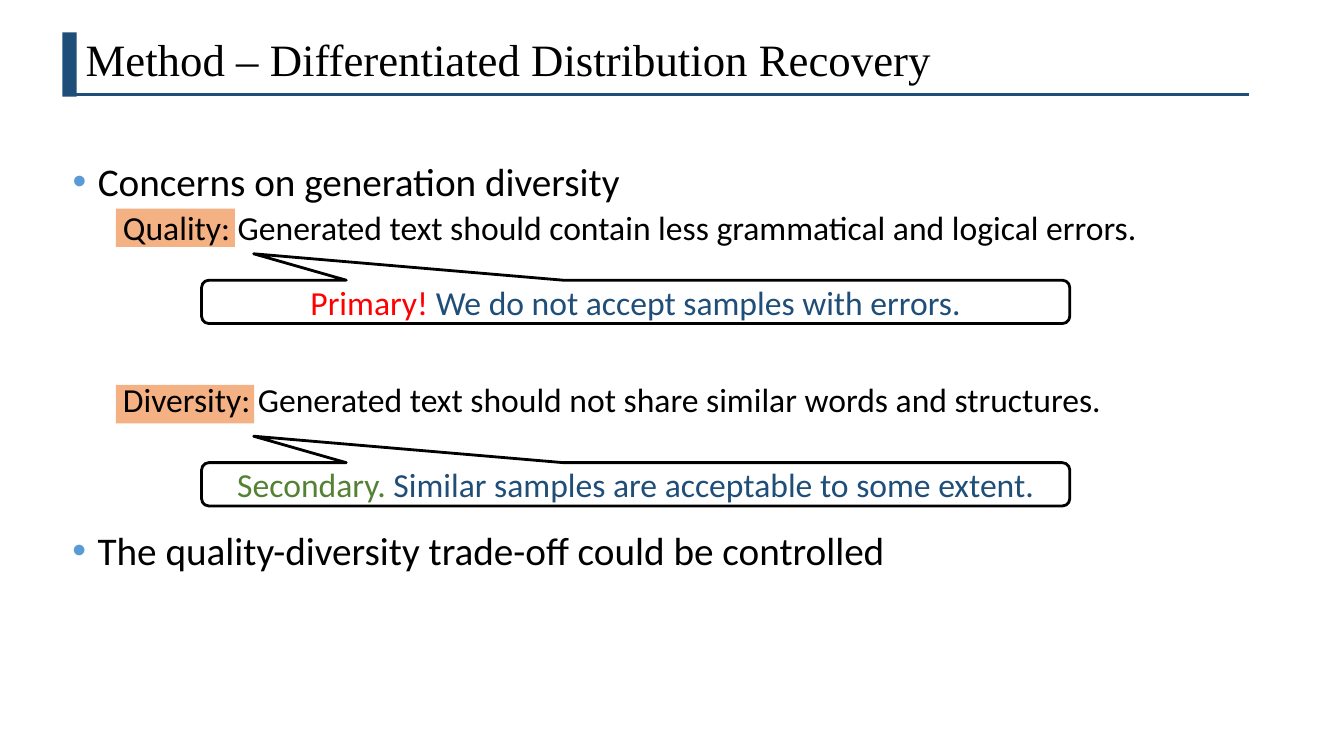
from dataclasses import dataclass

from lxml.etree import SubElement
from pptx import Presentation
from pptx.dml.color import RGBColor
from pptx.enum.shapes import MSO_CONNECTOR, MSO_SHAPE
from pptx.enum.text import MSO_ANCHOR, MSO_AUTO_SIZE, PP_ALIGN
from pptx.oxml.ns import qn
from pptx.util import Emu, Inches, Pt

NAVY = "1F4E79"
BLACK = "000000"
ORANGE = "F4B183"
BULLET_BLUE = "5B9BD5"
SLIDE_WIDTH = Inches(13.33)
SLIDE_HEIGHT = Inches(7.5)


@dataclass(frozen=True)
class Box:
    """Edges and sizes in percent of the slide's width and height."""

    left: float
    top: float
    width: float
    height: float

    def lengths(self) -> tuple[Emu, Emu, Emu, Emu]:
        return (
            across(self.left),
            down(self.top),
            across(self.width),
            down(self.height),
        )


@dataclass(frozen=True)
class Concern:
    label: str
    statement: str
    space_before: float
    highlight: Box
    verdict: str
    verdict_color: str
    remark: str
    callout: Box


TITLE_BOX = Box(5.62, 4.27, 87.3, 8.27)
BAR_BOX = Box(4.65, 4.27, 1.05, 8.53)
BODY_BOX = Box(4.65, 20.8, 88.3, 58.53)
CLOSING_BOX = Box(4.65, 69.6, 62.7, 7.07)

CONCERNS = [
    Concern(
        "Quality:",
        " Generated text should contain less grammatical and logical errors.",
        5,
        Box(8.63, 27.6, 8.85, 5.07),
        "Primary!",
        "FF0000",
        " We do not accept samples with errors.",
        Box(15, 37.07, 64.6, 5.73),
    ),
    Concern(
        "Diversity:",
        " Generated text should not share similar words and structures.",
        97,
        Box(8.63, 50.93, 10.28, 5.07),
        "Secondary.",
        "548235",
        " Similar samples are acceptable to some extent.",
        Box(15, 61.2, 64.6, 5.73),
    ),
]


def across(percent: float) -> Emu:
    return Emu(round(SLIDE_WIDTH * percent / 100))


def down(percent: float) -> Emu:
    return Emu(round(SLIDE_HEIGHT * percent / 100))


def color(value: str) -> RGBColor:
    return RGBColor.from_string(value)


def place(shape, box: Box) -> None:
    shape.left, shape.top, shape.width, shape.height = box.lengths()


def add_run(paragraph, text: str, size: float, value: str = BLACK, font: str = "Calibri") -> None:
    run = paragraph.add_run()
    run.text = text
    run.font.size = Pt(size)
    run.font.name = font
    run.font.color.rgb = color(value)


def format_paragraph(paragraph, space_before: float, margin: float = 0, indent: float = 0, bullet: bool = False) -> None:
    paragraph.alignment = PP_ALIGN.LEFT
    paragraph.line_spacing = 0.9
    paragraph.space_before = Pt(space_before)
    properties = paragraph._p.get_or_add_pPr()
    properties.set("marL", str(Inches(margin)))
    properties.set("indent", str(Inches(indent)))
    if bullet:
        bullet_color = SubElement(properties, qn("a:buClr"))
        SubElement(bullet_color, qn("a:srgbClr")).set("val", BULLET_BLUE)
        SubElement(properties, qn("a:buFont")).set("typeface", "Arial")
        SubElement(properties, qn("a:buChar")).set("char", "•")
    else:
        SubElement(properties, qn("a:buNone"))


def add_bullet(paragraph, text: str) -> None:
    format_paragraph(paragraph, 10, 0.25, -0.25, bullet=True)
    add_run(paragraph, text, 28)


def add_block(slide, box: Box, fill: str) -> None:
    shape = slide.shapes.add_shape(MSO_SHAPE.RECTANGLE, *box.lengths())
    shape.shadow.inherit = False
    shape.fill.solid()
    shape.fill.fore_color.rgb = color(fill)
    shape.line.fill.background()


def add_title_rule(slide) -> None:
    rule = slide.shapes.add_connector(
        MSO_CONNECTOR.STRAIGHT, across(5.62), down(12.53), across(92.95), down(12.53)
    )
    rule.line.color.rgb = color(NAVY)
    rule.line.width = Pt(2)
    SubElement(rule.element.spPr, qn("a:effectLst"))


def fill_title(slide) -> None:
    title = slide.shapes.title
    place(title, TITLE_BOX)
    frame = title.text_frame
    frame.auto_size = MSO_AUTO_SIZE.NONE
    frame.vertical_anchor = MSO_ANCHOR.TOP
    paragraph = frame.paragraphs[0]
    format_paragraph(paragraph, 10)
    add_run(paragraph, "Method – Differentiated Distribution Recovery", 32, font="Times New Roman")


def fill_body(slide) -> None:
    body = slide.placeholders[1]
    place(body, BODY_BOX)
    frame = body.text_frame
    frame.auto_size = MSO_AUTO_SIZE.NONE
    add_bullet(frame.paragraphs[0], "Concerns on generation diversity")
    for concern in CONCERNS:
        paragraph = frame.add_paragraph()
        paragraph.level = 1
        format_paragraph(paragraph, concern.space_before, 0.5)
        add_run(paragraph, concern.label, 24)
        add_run(paragraph, concern.statement, 24)
    slide.shapes.element.append(body.element)


def add_callout(slide, concern: Concern) -> None:
    callout = slide.shapes.add_shape(
        MSO_SHAPE.ROUNDED_RECTANGULAR_CALLOUT, *concern.callout.lengths()
    )
    for index, adjustment in enumerate((-0.44, -1.11, 0.17)):
        callout.adjustments[index] = adjustment
    callout.shadow.inherit = False
    callout.fill.background()
    callout.line.color.rgb = color(BLACK)
    callout.line.width = Pt(2)
    callout.text_frame.vertical_anchor = MSO_ANCHOR.MIDDLE
    paragraph = callout.text_frame.paragraphs[0]
    paragraph.alignment = PP_ALIGN.CENTER
    add_run(paragraph, concern.verdict, 24, concern.verdict_color)
    add_run(paragraph, concern.remark, 24, NAVY)


def add_closing(slide) -> None:
    frame = slide.shapes.add_textbox(*CLOSING_BOX.lengths()).text_frame
    frame.word_wrap = False
    frame.auto_size = MSO_AUTO_SIZE.SHAPE_TO_FIT_TEXT
    add_bullet(frame.paragraphs[0], "The quality-diversity trade-off could be controlled")


def main() -> None:
    presentation = Presentation()
    presentation.slide_width = SLIDE_WIDTH
    presentation.slide_height = SLIDE_HEIGHT
    slide = presentation.slides.add_slide(presentation.slide_layouts[1])
    add_title_rule(slide)
    add_block(slide, BAR_BOX, NAVY)
    fill_title(slide)
    for concern in CONCERNS:
        add_block(slide, concern.highlight, ORANGE)
    fill_body(slide)
    for concern in CONCERNS:
        add_callout(slide, concern)
    add_closing(slide)
    presentation.save("out.pptx")


if __name__ == "__main__":
    main()
